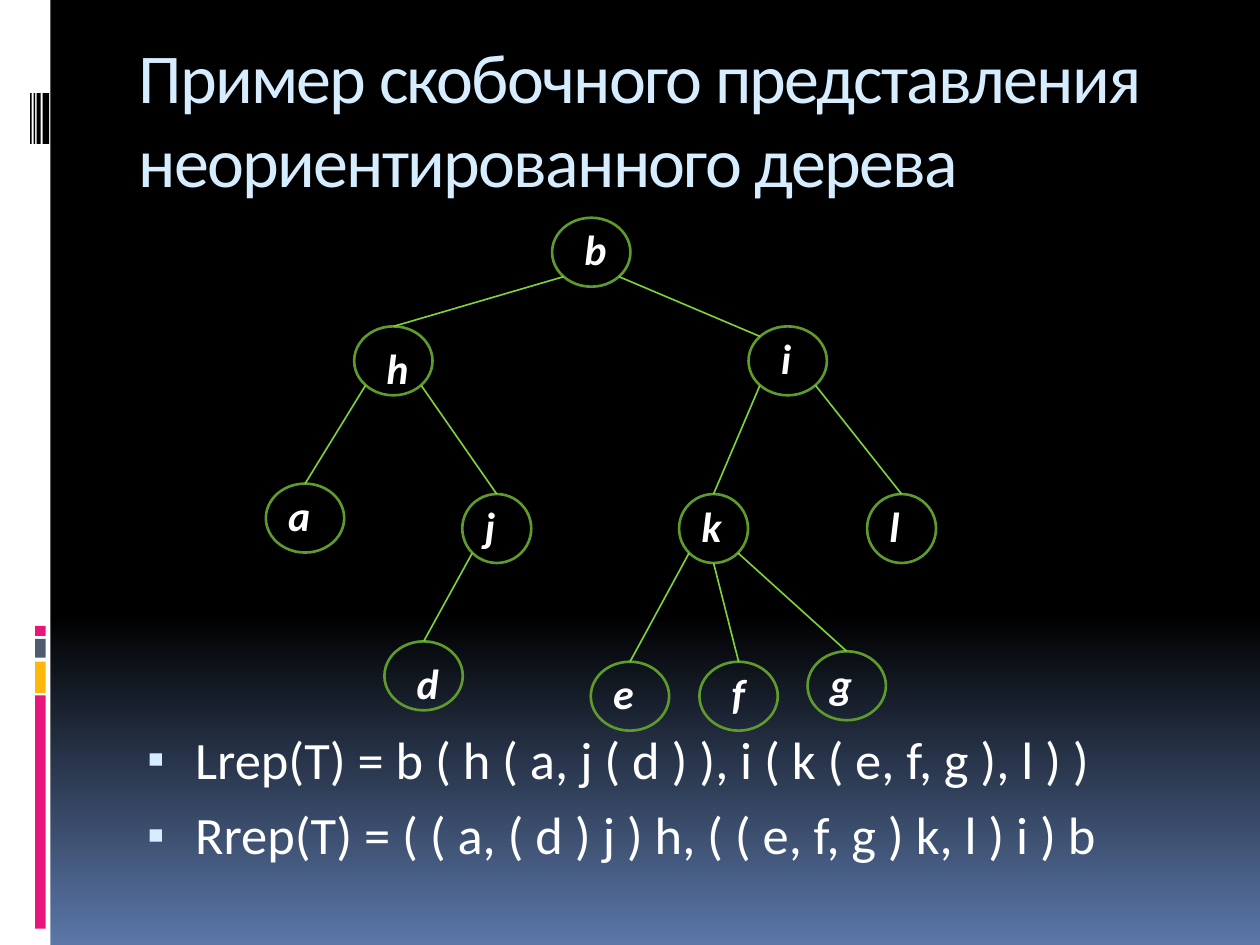
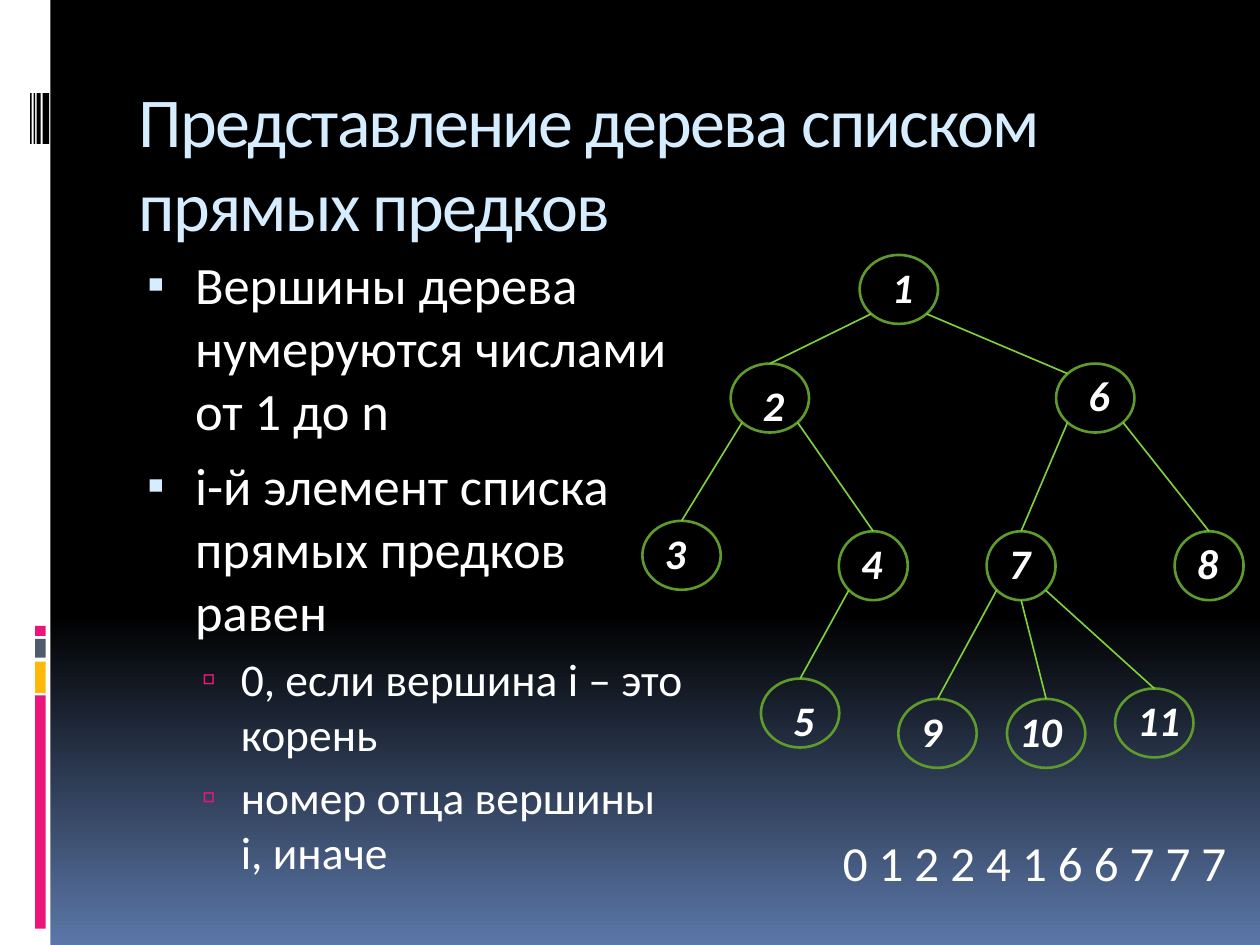
from collections import namedtuple

from lxml import etree
from pptx import Presentation
from pptx import util as u
from pptx.dml import color
from pptx.enum import shapes, text
from pptx.oxml import ns

FONT = "Calibri"
WHITE, BLACK, PINK, PALE = "FFFFFF", "000000", "EA157A", "D6ECFF"
BANDS = [
    (0, 0, 1.02, 19.05, WHITE),
    (0.71, 14.02, 0.21, 4.7, PINK),
    (0.71, 13.34, 0.21, 0.63, "FEB80A"),
    (0.71, 12.88, 0.21, 0.38, "4E5B6F"),
    (0.71, 12.62, 0.21, 0.2, PINK),
] + [(x, 1.88, width, 1.02, BLACK) for x, width in [(0.86, 0.13), (0.74, 0.08), (0.68, 0.03), (0.61, 0.03)]]

BulletLevel = namedtuple("BulletLevel", "size left hanging before mark color percent")
LEVELS = [
    BulletLevel(30, 1.14, 0.97, 7, "▪", PALE, 95),
    BulletLevel(26, 2.06, 0.79, 5.2, "▫", PINK, 90),
]

Node = namedtuple("Node", "x y width nudge drop", defaults=(0.2, 0))
WIDE, ROUND, NODE_HEIGHT = 1.58, 1.39, 1.39
DIAGONAL = 0.71
NODES = {
    "b": Node(11.13, 4.39, WIDE, 0.4),
    "h": Node(7.14, 6.58, WIDE, 0.4, 0.2),
    "i": Node(15.09, 6.58, WIDE, 0.4),
    "a": Node(5.36, 9.75, WIDE),
    "j": Node(9.32, 9.96, ROUND),
    "k": Node(13.69, 9.96, ROUND),
    "l": Node(17.48, 9.96, ROUND),
    "d": Node(7.75, 12.93, WIDE, 0.4, 0.2),
    "e": Node(11.91, 13.34, WIDE),
    "f": Node(14.1, 13.34, WIDE, 0.4),
    "g": Node(16.28, 13.13, WIDE),
}
LEFT_BRANCH = "hajd"
EDGES = [
    ("b", -1, "h"), ("b", 1, "i"), ("h", -1, "a"), ("h", 1, "j"), ("i", -1, "k"),
    ("i", 1, "l"), ("j", -1, "d"), ("k", -1, "e"), ("k", 0, "f"), ("k", 1, "g"),
]


def rgb(value):
    """Turn a hex string into a colour."""
    return color.RGBColor.from_string(value)


def write(paragraph, content, size=24, fill=WHITE, bold=False, italic=False, spacing=None):
    """Add formatted text to a paragraph."""
    run = paragraph.add_run()
    run.text = content
    font = run.font
    font.name, font.size, font.bold, font.italic = FONT, u.Pt(size), bold, italic
    font.color.rgb = rgb(fill)
    if spacing is not None:
        run._r.get_or_add_rPr().set("spc", str(spacing))


def set_bullet(paragraph, level):
    """Give a paragraph its hanging indent and mark."""
    properties = paragraph._p.get_or_add_pPr()
    properties.set("marL", str(u.Cm(level.left)))
    properties.set("indent", str(-u.Cm(level.hanging)))
    bullet_color = etree.SubElement(properties, ns.qn("a:buClr"))
    etree.SubElement(bullet_color, ns.qn("a:srgbClr"), val=level.color)
    etree.SubElement(properties, ns.qn("a:buSzPct"), val=str(level.percent * 1000))
    etree.SubElement(properties, ns.qn("a:buChar"), char=level.mark)


class Deck:
    """Hold the presentation style and the current slide."""

    def __init__(self):
        """Set the page size and the shared background."""
        self.presentation = Presentation()
        self.presentation.slide_width, self.presentation.slide_height = u.Cm(25.4), u.Cm(19.05)
        background = self.presentation.slide_master.background.fill
        background.gradient()
        background.gradient_angle = 270
        for stop, position, value in zip(background.gradient_stops, (0.65, 1), (BLACK, "5B77A8")):
            stop.position = position
            stop.color.rgb = rgb(value)

    def new_slide(self):
        """Start a slide with the side bands."""
        self.slide = self.presentation.slides.add_slide(self.presentation.slide_layouts[1])
        for *place, fill in BANDS:
            band = self.shape(shapes.MSO_SHAPE.RECTANGLE, *place)
            band.fill.solid()
            band.fill.fore_color.rgb = rgb(fill)
            band.line.fill.background()

    def shape(self, kind, *place):
        """Add a preset shape without a shadow."""
        shape = self.slide.shapes.add_shape(kind, *map(u.Cm, place))
        shape.shadow.inherit = False
        return shape

    def place(self, placeholder, *place):
        """Move a placeholder and return its text frame."""
        placeholder.left, placeholder.top, placeholder.width, placeholder.height = map(u.Cm, place)
        frame = placeholder.text_frame
        frame.word_wrap = True
        frame.auto_size = text.MSO_AUTO_SIZE.NONE
        frame.vertical_anchor = text.MSO_ANCHOR.TOP
        return frame

    def title(self, content, top):
        """Fill the title."""
        paragraph = self.place(self.slide.shapes.title, 2.54, top, 21.59, 2.54).paragraphs[0]
        paragraph.alignment = text.PP_ALIGN.LEFT
        write(paragraph, content, size=40, fill=PALE, spacing=-100)

    def bullets(self, items, top, width, height):
        """Fill the body with pairs of level and text."""
        frame = self.place(self.slide.placeholders[1], 2.54, top, width, height)
        for index, (depth, content) in enumerate(items):
            paragraph = frame.add_paragraph() if index else frame.paragraphs[0]
            level = LEVELS[depth]
            paragraph.level = depth
            set_bullet(paragraph, level)
            paragraph.space_before = u.Pt(level.before if index else 0)
            write(paragraph, content, size=level.size)

    def label(self, content, *place, wrap=True, **style):
        """Add a text box."""
        frame = self.slide.shapes.add_textbox(*map(u.Cm, place)).text_frame
        frame.word_wrap = wrap
        write(frame.paragraphs[0], content, **style)

    def edge(self, parent, side, child, ellipse):
        """Join a parent to its child node."""
        reach = DIAGONAL if side else 1
        start_x = parent.x + parent.width / 2 * (1 + side * reach)
        start_y = parent.y + NODE_HEIGHT / 2 * (1 + reach)
        slanted = abs(child.x - parent.x) < 4 and parent is self.root and side > 0
        end_x = child.x + child.width / 2 * (1 - DIAGONAL * slanted)
        end_y = child.y + NODE_HEIGHT / 2 * (1 - DIAGONAL) * slanted
        line = self.slide.shapes.add_connector(
            shapes.MSO_CONNECTOR.STRAIGHT, *map(u.Cm, (start_x, start_y, end_x, end_y)))
        if not slanted:
            line.end_connect(ellipse, 0)
        line.line.color.rgb = rgb("7FD13B")
        line.line.width = u.Pt(0.94)
        etree.SubElement(line._element.spPr, ns.qn("a:effectLst"))

    def tree(self, labels, left_shift=0, shift=0, down=0, nudges=None):
        """Draw the tree with its labels and edges."""
        nodes, ellipses = {}, {}
        for name, node in NODES.items():
            offset = left_shift if name in LEFT_BRANCH else shift
            node = node._replace(x=node.x + offset, y=node.y + down,
                                 nudge=(nudges or {}).get(name, node.nudge))
            ellipse = self.shape(shapes.MSO_SHAPE.OVAL, node.x, node.y, node.width, NODE_HEIGHT)
            ellipse.fill.background()
            ellipse.line.color.rgb = rgb("5E9B2C")
            ellipse.line.width = u.Pt(1.5)
            nodes[name], ellipses[name] = node, ellipse
        self.root = nodes["b"]
        for parent, side, child in EDGES:
            self.edge(nodes[parent], side, nodes[child], ellipses[child])
        for (name, node), content in zip(nodes.items(), labels):
            self.label(content, node.x + node.nudge, node.y + node.drop, WIDE, 1.3,
                       bold=True, italic=True)


def main():
    """Build both slides."""
    deck = Deck()

    deck.new_slide()
    deck.title("Пример скобочного представления неориентированного дерева", 0.55)
    deck.bullets([
        (0, "Lrep(T) = b ( h ( a, j ( d ) ), i ( k ( e, f, g ), l ) )"),
        (0, "Rrep(T) = ( ( a, ( d ) j ) h, ( ( e, f, g ) k, l ) i ) b"),
    ], 14.53, 21.59, 3.12)
    deck.tree(NODES)

    deck.new_slide()
    deck.title("Представление дерева списком прямых предков", 1.43)
    deck.bullets([
        (0, "Вершины дерева нумеруются числами от 1 до n"),
        (0, "i-й элемент списка прямых предков равен"),
        (1, "0, если вершина i – это корень"),
        (1, "номер отца вершины i, иначе"),
    ], 4.95, 11.56, 12.7)
    deck.tree("1 2 6 3 4 7 8 5 9 10 11".split(), left_shift=7.59, shift=6.2, down=0.75,
              nudges={"f": 0})
    deck.label("0 1 2 2 4 1 6 6 7 7 7", 16.74, 16.66, 8.38, 1.45, wrap=False, size=28)

    deck.presentation.save("out.pptx")


if __name__ == "__main__":
    main()
